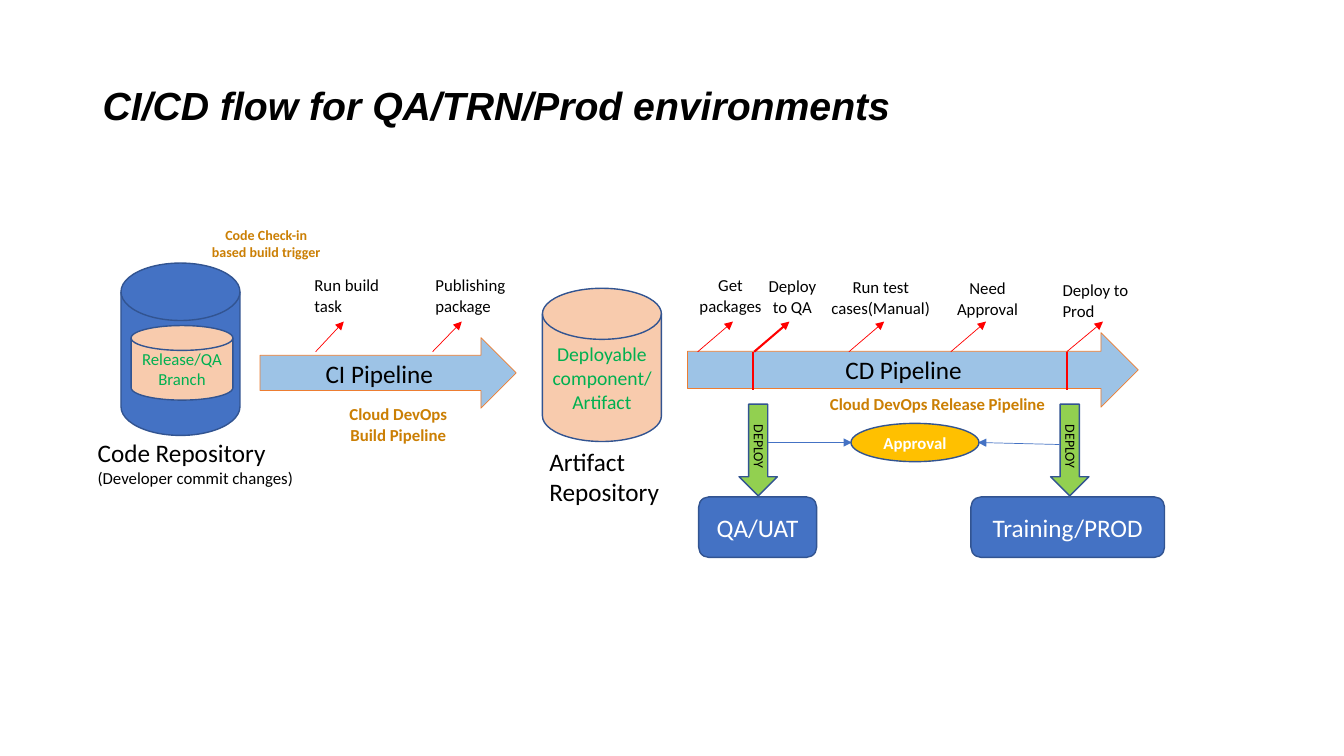
from pptx import Presentation
from pptx.dml.color import RGBColor
from pptx.enum.shapes import MSO_CONNECTOR as CONNECTOR, MSO_SHAPE as SHAPE
from pptx.enum.text import MSO_ANCHOR as ANCHOR, MSO_AUTO_SIZE as AUTO_SIZE, PP_ALIGN as ALIGN
from pptx.oxml.ns import qn
from pptx.util import Inches, Pt
from lxml import etree

BLACK = RGBColor(0x00, 0x00, 0x00)
WHITE = RGBColor(0xFF, 0xFF, 0xFF)
BLUE = RGBColor(0x44, 0x72, 0xC4)
DARK_BLUE = RGBColor(0x32, 0x54, 0x91)
LIGHT_BLUE = RGBColor(0x9D, 0xC3, 0xE6)
ORANGE = RGBColor(0xED, 0x7D, 0x31)
PEACH = RGBColor(0xF8, 0xCB, 0xAD)
AMBER = RGBColor(0xFF, 0xC0, 0x00)
OCHRE = RGBColor(0xCB, 0x7F, 0x04)
GREEN = RGBColor(0x00, 0xB0, 0x50)
LIME = RGBColor(0x92, 0xD0, 0x50)
RED = RGBColor(0xFF, 0x00, 0x00)

prs = Presentation()
prs.slide_width, prs.slide_height = Inches(13.33), Inches(7.5)
slide = prs.slides.add_slide(prs.slide_layouts[6])


def add_text(box, text, *, shape=None, sizes=(12,), color=BLACK, fill=None,
             line=DARK_BLUE, line_width=1, align=ALIGN.CENTER, font="Calibri",
             bold=False, italic=False, rotation=0, anchor=ANCHOR.TOP, spacing=None):
    """Add a text box, or a filled preset shape; each line of text is a paragraph."""
    place = [Inches(length) for length in box]
    if shape is None:
        part = slide.shapes.add_textbox(*place)
    else:
        part = slide.shapes.add_shape(shape, *place)
        part.shadow.inherit = False
        part.fill.solid()
        part.fill.fore_color.rgb = fill
        part.line.color.rgb = line
        part.line.width = Pt(line_width)
        anchor = ANCHOR.MIDDLE
    part.rotation = rotation
    if not text:
        return
    frame = part.text_frame
    frame.word_wrap = True
    frame.vertical_anchor = anchor
    if shape is not None:
        frame.margin_left = frame.margin_right = Inches(0.05)
    elif anchor == ANCHOR.TOP:
        frame.auto_size = AUTO_SIZE.SHAPE_TO_FIT_TEXT
    frame.text = text
    for index, paragraph in enumerate(frame.paragraphs):
        paragraph.alignment = align
        paragraph.line_spacing = spacing
        style = paragraph.runs[0].font
        style.name, style.size = font, Pt(sizes[min(index, len(sizes) - 1)])
        style.bold, style.italic = bold, italic
        style.color.rgb = color


def add_line(start, end, color=RED, width=0.5, arrow=True):
    connector = slide.shapes.add_connector(
        CONNECTOR.STRAIGHT, *[Inches(length) for length in (*start, *end)])
    connector.line.color.rgb = color
    connector.line.width = Pt(width)
    if arrow:
        etree.SubElement(connector.line._get_or_add_ln(), qn("a:tailEnd"), type="triangle")
    etree.SubElement(connector._element.spPr, qn("a:effectLst"))


add_text((0.92, 0.34, 11.5, 1.45), "CI/CD flow for QA/TRN/Prod environments",
         sizes=(28,), font="Arial", bold=True, italic=True, align=ALIGN.LEFT,
         anchor=ANCHOR.MIDDLE, spacing=0.9)

# Pipelines
for box, pipeline in [((2.58, 3.35, 2.54, 0.7), "CI Pipeline"),
                      ((6.82, 3.3, 4.47, 0.74), "CD Pipeline")]:
    add_text(box, pipeline, shape=SHAPE.RIGHT_ARROW, sizes=(18,), fill=LIGHT_BLUE,
             line=ORANGE, line_width=0.5)

# Repositories
disk = SHAPE.FLOWCHART_MAGNETIC_DISK
add_text((1.2, 2.61, 1.18, 1.71), "", shape=disk, fill=BLUE)
add_text((1.3, 3.23, 1.01, 0.74), "Release/QA Branch", shape=disk, fill=PEACH, color=GREEN)
add_text((5.38, 2.86, 1.18, 1.52), "Deployable component/Artifact",
         shape=disk, sizes=(14,), fill=PEACH, color=GREEN)
add_text((0.87, 4.29, 2.2, 0.61), "Code Repository\n(Developer commit changes)",
         sizes=(18, 12), align=ALIGN.LEFT)
add_text((5.35, 4.38, 1.4, 0.71), "Artifact Repository", sizes=(18,), align=ALIGN.LEFT)

# Pipeline steps: label left, top, width, alignment; arrow start, rightward run, width
steps = [
    ("Run build task", 3.02, 2.68, 0.94, ALIGN.LEFT, 3.13, 0.28, 0.5),
    ("Publishing package", 4.22, 2.68, 0.93, ALIGN.LEFT, 4.29, 0.29, 0.5),
    ("Get packages", 6.74, 2.68, 1.01, ALIGN.CENTER, 6.92, 0.35, 0.5),
    ("Deploy to QA", 7.51, 2.69, 0.7, ALIGN.CENTER, 7.48, 0.35, 1.5),
    ("Run test cases(Manual)", 8.14, 2.7, 1.19, ALIGN.CENTER, 8.42, 0.35, 0.5),
    ("Need\nApproval", 9.38, 2.71, 0.83, ALIGN.CENTER, 9.43, 0.35, 0.5),
    ("Deploy to Prod", 10.44, 2.73, 0.88, ALIGN.LEFT, 10.58, 0.36, 0.5),
]
for label, left, top, width, align, start, run, weight in steps:
    add_text((left, top, width, 0.5), label, align=align)
    add_line((start, 3.49), (start + run, 3.19), width=weight)

# Deployments
deployments = [("QA/UAT", 7.47, 7.33, 6.93, 1.17),
               ("Training/PROD", 10.58, 10.42, 9.63, 1.92)]
for environment, marker, arrow_left, left, width in deployments:
    add_line((marker, 3.49), (marker, 3.87), width=1.5, arrow=False)
    add_text((arrow_left, 4.01, 0.38, 0.91), "", shape=SHAPE.DOWN_ARROW, fill=LIME)
    add_text((arrow_left - 0.3, 4.48, 1, 0.27), "DEPLOY", sizes=(10,),
             align=ALIGN.LEFT, rotation=90)
    add_text((left, 4.93, width, 0.6), environment, shape=SHAPE.ROUNDED_RECTANGLE,
             sizes=(18,), fill=BLUE, color=WHITE)

add_line((7.62, 4.39), (8.45, 4.39), BLUE)
add_line((10.51, 4.41), (9.7, 4.39), BLUE)
add_text((8.44, 4.2, 1.27, 0.38), "Approval", shape=SHAPE.OVAL, fill=AMBER,
         color=WHITE, bold=True)

# Captions
for box, caption, size in [
    ((3.19, 3.96, 1.52, 0.5), "Cloud DevOps Build Pipeline", 12),
    ((7.98, 3.86, 2.64, 0.3), "Cloud DevOps Release Pipeline", 12),
    ((1.94, 2.2, 1.4, 0.44), "Code Check-in\nbased build trigger", 10),
]:
    add_text(box, caption, sizes=(size,), color=OCHRE, bold=True)

prs.save("out.pptx")
